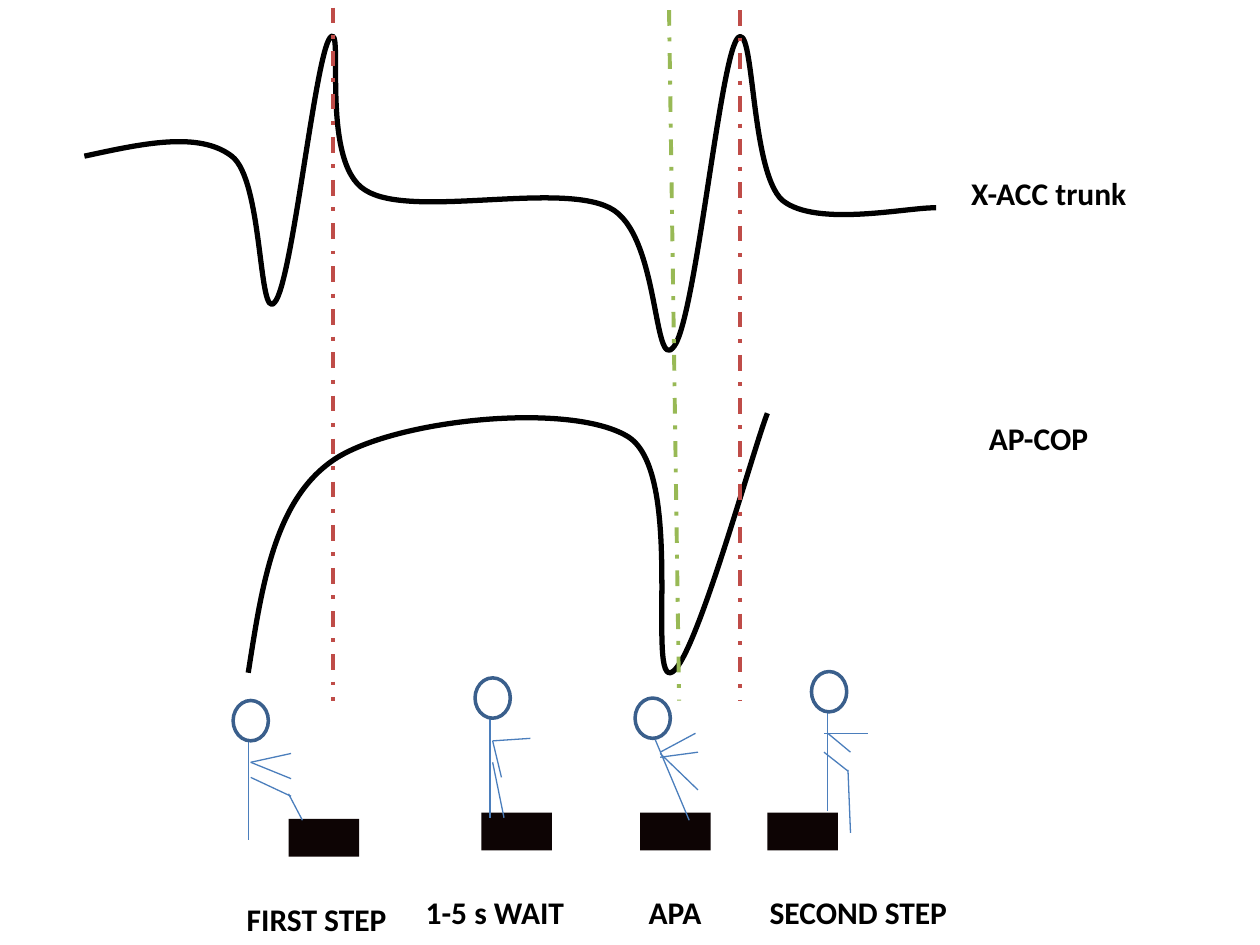
from lxml.etree import SubElement
from pptx import Presentation
from pptx.dml.color import RGBColor
from pptx.enum.dml import MSO_LINE
from pptx.enum.shapes import MSO_CONNECTOR, MSO_SHAPE
from pptx.enum.text import MSO_AUTO_SIZE
from pptx.oxml.ns import qn
from pptx.util import Cm, Pt

COLORS = {"signal": "000000", "step": "BF4C48", "apa": "98B955", "limb": "4B7EBC",
          "head": "3A5F8C", "face": "FFFFFF", "block": "0D0404", "text": "000000"}

ACC_BOX = (0.67, 0.29, 6.76, 2.5)
ACC = [(0, 0.95),
       (0.46, 0.85), (0.91, 0.75), (1.17, 0.95), (1.42, 1.14), (1.38, 2.27), (1.51, 2.11),
       (1.65, 1.96), (1.83, 0.16), (1.95, 0.01), (2.07, -0.14), (1.86, 1), (2.23, 1.22),
       (2.59, 1.45), (3.76, 1.15), (4.17, 1.36), (4.57, 1.56), (4.51, 2.69), (4.68, 2.46),
       (4.85, 2.24), (5.04, 0.22), (5.18, 0.02), (5.32, -0.17), (5.28, 1.07), (5.54, 1.3),
       (5.81, 1.52), (6.56, 1.35), (6.76, 1.36)]
COP_BOX = (1.97, 3.28, 4.12, 2.06)
COP = [(0, 2.06),
       (0.11, 1.36), (0.21, 0.66), (0.71, 0.35), (1.22, 0.04), (2.58, -0.09), (3.02, 0.19),
       (3.46, 0.48), (3.17, 2.09), (3.35, 2.06), (3.53, 2.03), (3.99, 0.34), (4.12, 0)]

MARKERS = [(2.64, 0.06, 2.64, "step"), (5.87, 0.08, 5.87, "step"), (5.31, 0.08, 5.39, "apa")]

FIGURES = [
    ((1.85, 5.56), (0.44, 0.94),
     [(0.12, 0.16, 0.12, 1.11), (0.14, 0.61, 0.46, 0.76), (0.44, 0.74, 0.55, 0.95),
      (0.14, 0.49, 0.46, 0.42), (0.14, 0.49, 0.46, 0.62)]),
    ((3.77, 5.38), (0.05, 1.07),
     [(0.12, 0.16, 0.12, 1.11), (0.14, 0.67, 0.23, 1.11),
      (0.14, 0.5, 0.44, 0.48), (0.14, 0.5, 0.21, 0.79)]),
    ((5.04, 5.54), (0.04, 0.91),
     [(0.16, 0.33, 0.43, 0.97), (0.2, 0.44, 0.5, 0.73),
      (0.2, 0.43, 0.48, 0.28), (0.2, 0.47, 0.5, 0.43)]),
    ((6.44, 5.33), (-0.35, 1.12),
     [(0.13, 0.15, 0.13, 1.11), (0.1, 0.64, 0.29, 0.79), (0.29, 0.78, 0.31, 1.28),
      (0.1, 0.49, 0.45, 0.49), (0.13, 0.49, 0.31, 0.64)]),
]

LABELS = [("FIRST STEP", 1.86, 7.09, 1.42), ("1-5 s WAIT", 3.28, 7.04, 1.42),
          ("APA", 5.05, 7.04, 0.94), ("SECOND STEP", 6.01, 7.04, 2.06),
          ("X-ACC trunk", 7.61, 1.33, 1.88), ("AP-COP", 7.75, 3.28, 1.5)]


def length(inches):
    """Return a length in inches as centimetres."""
    return Cm(inches * 2.54)


def rgb(name):
    """Return the named colour."""
    return RGBColor.from_string(COLORS[name])


def add_curve(s, box, points):
    """Draw a smooth signal of cubic segments inside the box."""
    x, y, w, h = map(length, box)
    builder = s.shapes.build_freeform(x, y)
    builder.add_line_segments([(x + w, y + h)], close=False)
    sp = builder.convert_to_shape()
    outline = next(sp.element.iter(qn("a:path")))
    for child in list(outline):
        outline.remove(child)
    steps = [("a:moveTo", points[:1])]
    steps += [("a:cubicBezTo", points[i:i + 3]) for i in range(1, len(points), 3)]
    for tag, group in steps:
        step = SubElement(outline, qn(tag))
        for px, py in group:
            SubElement(step, qn("a:pt"), x=str(length(px)), y=str(length(py)))
    sp.shadow.inherit = False
    sp.fill.background()
    sp.line.color.rgb = rgb("signal")
    sp.line.width = Pt(3)


def add_line(s, x1, y1, x2, y2, color, width, dash=None):
    """Draw a straight line without shadow."""
    line = s.shapes.add_connector(MSO_CONNECTOR.STRAIGHT, *map(length, (x1, y1, x2, y2)))
    line.line.color.rgb = rgb(color)
    line.line.width = Pt(width)
    if dash:
        line.line.dash_style = dash
    SubElement(line.element.spPr, qn("a:effectLst"))


def add_solid(s, kind, box, fill, outline=None):
    """Draw a filled shape, outlined when a colour is given."""
    sp = s.shapes.add_shape(kind, *map(length, box))
    sp.shadow.inherit = False
    sp.fill.solid()
    sp.fill.fore_color.rgb = rgb(fill)
    if outline:
        sp.line.color.rgb = rgb(outline)
        sp.line.width = Pt(2)
    else:
        sp.line.fill.background()


def add_figure(s, origin, block, limbs):
    """Draw a stick figure and its block relative to the head's corner."""
    x, y = origin
    add_solid(s, MSO_SHAPE.RECTANGLE, (x + block[0], y + block[1], 0.56, 0.3), "block")
    for x1, y1, x2, y2 in limbs:
        add_line(s, x + x1, y + y1, x + x2, y + y2, "limb", 0.75)
    add_solid(s, MSO_SHAPE.OVAL, (x, y, 0.28, 0.32), "face", "head")


def add_label(s, text, x, y, w):
    """Write a bold label."""
    tf = s.shapes.add_textbox(*map(length, (x, y, w, 0.4))).text_frame
    tf.word_wrap = True
    tf.auto_size = MSO_AUTO_SIZE.SHAPE_TO_FIT_TEXT
    tf.text = text
    font = tf.paragraphs[0].runs[0].font
    font.name, font.size, font.bold = "Calibri", Pt(18), True
    font.color.rgb = rgb("text")


def build():
    """Build the gait phase slide and save it."""
    prs = Presentation()
    prs.slide_width, prs.slide_height = Cm(25.4), Cm(19.05)
    s = prs.slides.add_slide(prs.slide_layouts[6])
    add_curve(s, ACC_BOX, ACC)
    add_curve(s, COP_BOX, COP)
    for x1, top, x2, color in MARKERS:
        add_line(s, x1, top, x2, 5.56, color, 2.25, MSO_LINE.DASH_DOT)
    for figure in FIGURES:
        add_figure(s, *figure)
    for label in LABELS:
        add_label(s, *label)
    prs.save("out.pptx")


build()
